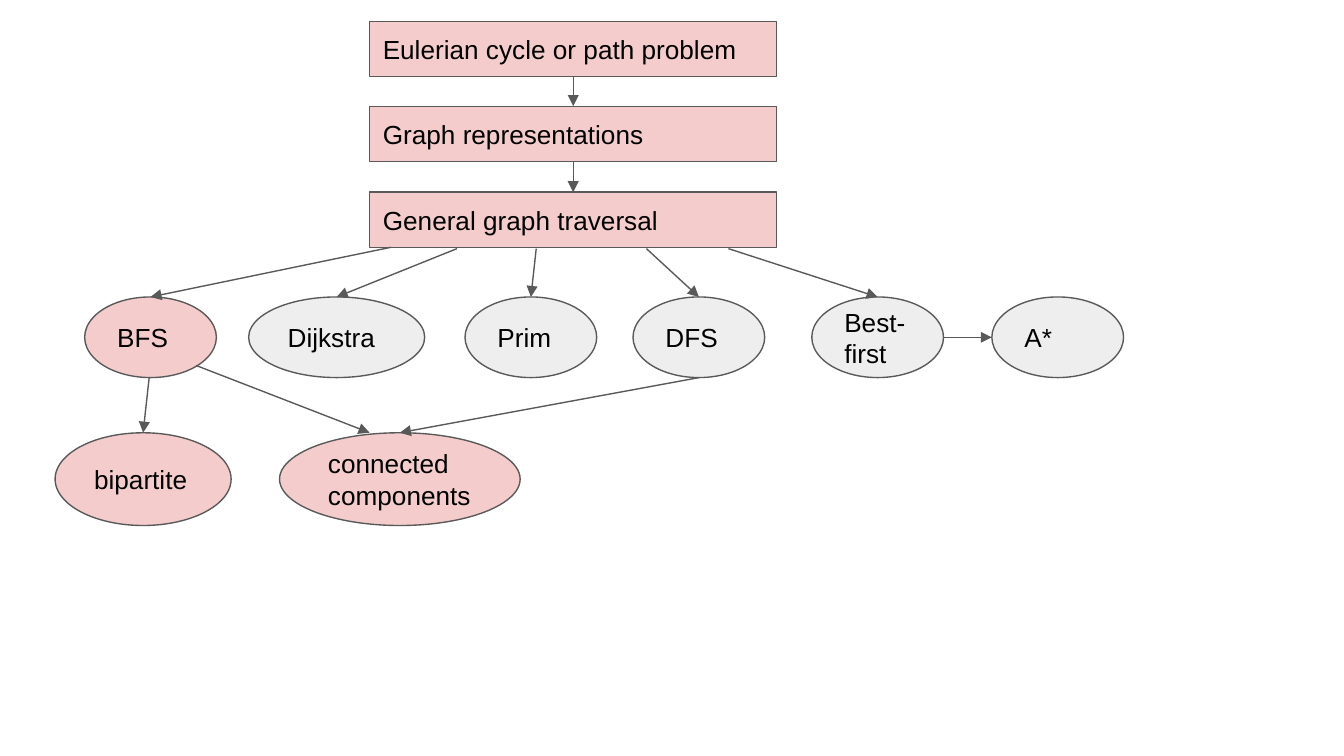
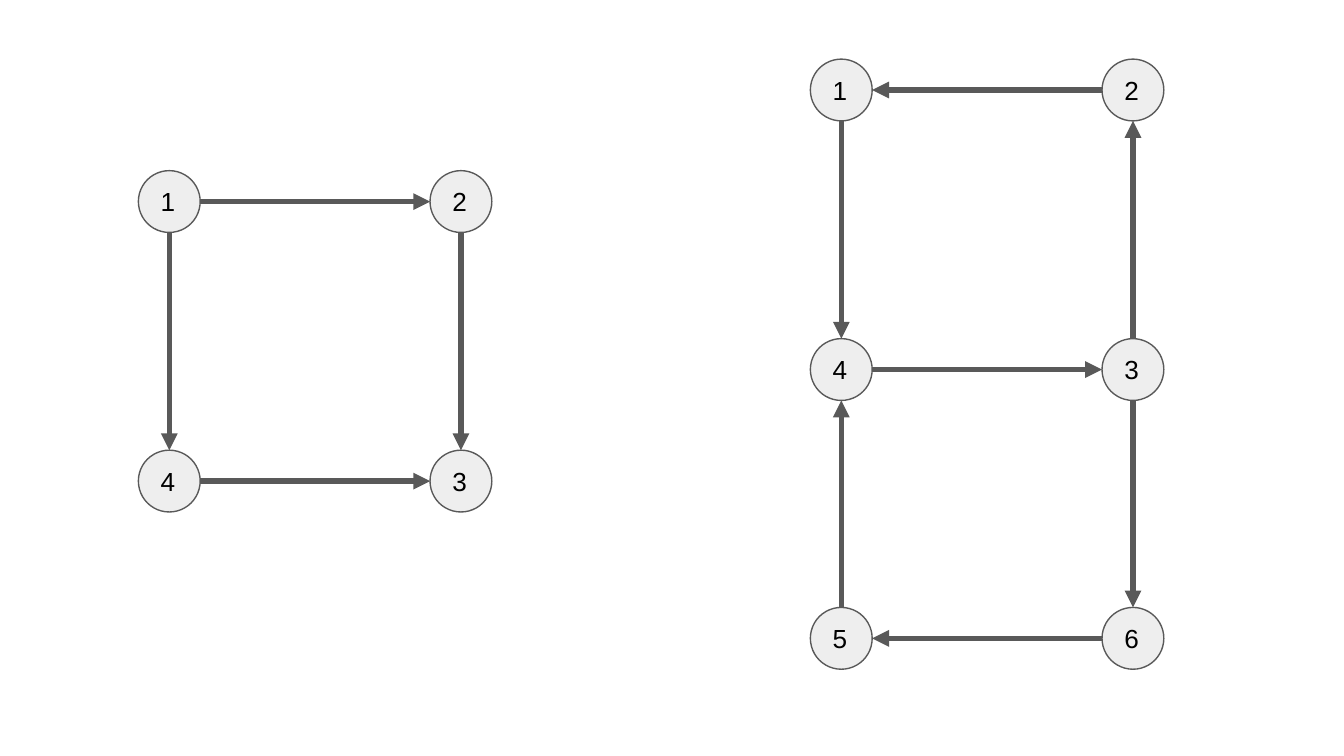
from lxml import etree
from pptx import Presentation
from pptx.dml.color import RGBColor
from pptx.enum.shapes import MSO_CONNECTOR, MSO_SHAPE
from pptx.enum.text import MSO_ANCHOR, PP_ALIGN
from pptx.oxml.ns import qn
from pptx.util import Inches, Pt

RECT, OVAL = MSO_SHAPE.RECTANGLE, MSO_SHAPE.OVAL
STRAIGHT = MSO_CONNECTOR.STRAIGHT
MIDDLE, LEFT = MSO_ANCHOR.MIDDLE, PP_ALIGN.LEFT
PINK = RGBColor(0xF4, 0xCC, 0xCC)
PALE = RGBColor(0xEE, 0xEE, 0xEE)
GRAY = RGBColor(0x59, 0x59, 0x59)
BLACK = RGBColor(0, 0, 0)


def add_node(slide, kind, text, x, y, w, h, fill=PALE):
    node = slide.shapes.add_shape(kind, Inches(x), Inches(y), Inches(w), Inches(h))
    node.shadow.inherit = False
    node.fill.solid()
    node.fill.fore_color.rgb = fill
    node.line.color.rgb = GRAY
    node.line.width = Pt(0.75)
    frame = node.text_frame
    frame.word_wrap = True
    frame.vertical_anchor = MIDDLE
    frame.margin_left = frame.margin_right = Inches(0.1)
    frame.margin_top = frame.margin_bottom = Inches(0.1)
    para = frame.paragraphs[0]
    para.text = text
    para.alignment = LEFT
    para.font.name = "Arial"
    para.font.size = Pt(14)
    para.font.color.rgb = BLACK
    return node


def add_arrow(slide, x1, y1, x2, y2, width=0.75):
    arrow = slide.shapes.add_connector(
        STRAIGHT, Inches(x1), Inches(y1), Inches(x2), Inches(y2))
    arrow.line.color.rgb = GRAY
    arrow.line.width = Pt(width)
    props = arrow._element.spPr
    etree.SubElement(props.find(qn("a:ln")), qn("a:tailEnd"), type="triangle")
    etree.SubElement(props, qn("a:effectLst"))
    return arrow


prs = Presentation()
prs.slide_width = Inches(10)
prs.slide_height = prs.slide_width * 9 // 16
blank = prs.slide_layouts[6]

# Slide 1: map of graph topics
slide = prs.slides.add_slide(blank)
steps = ["Eulerian cycle or path problem", "Graph representations",
         "General graph traversal"]
last = None
for text, y in zip(steps, (0.16, 0.79, 1.43)):
    box = add_node(slide, RECT, text, 2.75, y, 3.03, 0.41, PINK)
    if last:
        arrow = add_arrow(slide, 4.27, y - 0.22, 4.27, y)
        arrow.begin_connect(last, 2)
        arrow.end_connect(box, 0)
    last = box

topics = [  # text, x, y, width, height, fill
    ("BFS", 0.63, 2.21, 0.98, 0.6, PINK),
    ("Dijkstra", 1.85, 2.21, 1.31, 0.6, PALE),
    ("Prim", 3.46, 2.21, 0.98, 0.6, PALE),
    ("DFS", 4.71, 2.21, 0.98, 0.6, PALE),
    ("Best-first", 6.04, 2.21, 0.98, 0.6, PALE),
    ("A*", 7.38, 2.21, 0.98, 0.6, PALE),
    ("bipartite", 0.41, 3.22, 1.31, 0.69, PINK),
    ("connected\ncomponents", 2.08, 3.22, 1.79, 0.69, PINK),
]
ovals = {topic[0]: add_node(slide, OVAL, *topic) for topic in topics}

links = [  # start x, start y, topic whose top it meets
    (2.91, 1.84, "BFS"), (3.4, 1.85, "Dijkstra"), (3.99, 1.85, "Prim"),
    (4.81, 1.85, "DFS"), (5.42, 1.85, "Best-first"),
    (1.11, 2.81, "bipartite"), (5.2, 2.81, "connected\ncomponents"),
]
for x, y, name in links:
    add_arrow(slide, x, y, x, y).end_connect(ovals[name], 0)
add_arrow(slide, 1.46, 2.72, 2.75, 3.22)
add_arrow(slide, 7.02, 2.51, 7.38, 2.51)

# Slide 2: two directed graphs
slide = prs.slides.add_slide(blank)
SIZE, GAP = 0.46, 2.17
graphs = [  # left, rows of (top, labels), edges
    (1.03, [(1.27, "12"), (3.35, "43")], ["14", "43", "12", "23"]),
    (6.03, [(0.44, "12"), (2.52, "43"), (4.52, "56")],
     ["14", "43", "32", "21", "36", "65", "54"]),
]
for left, rows, edges in graphs:
    mids = {}
    for top, labels in rows:
        for col, label in enumerate(labels):
            x = left + col * GAP
            add_node(slide, OVAL, label, x, top, SIZE, SIZE)
            mids[label] = x + SIZE / 2, top + SIZE / 2
    for start, end in edges:
        (x1, y1), (x2, y2) = mids[start], mids[end]
        trim = SIZE / 2 / (abs(x2 - x1) + abs(y2 - y1))
        dx, dy = (x2 - x1) * trim, (y2 - y1) * trim
        add_arrow(slide, x1 + dx, y1 + dy, x2 - dx, y2 - dy, 3)

prs.save("out.pptx")
